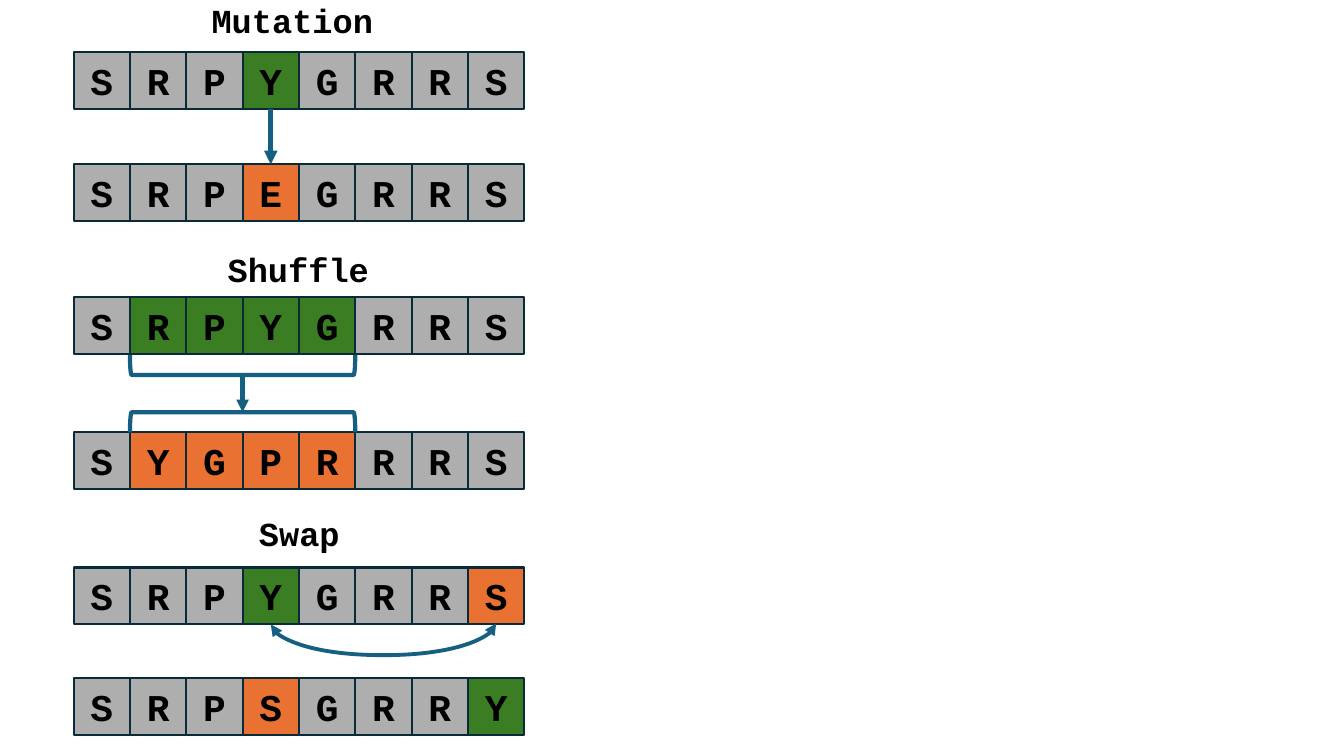
from lxml import etree
from pptx import Presentation
from pptx.dml.color import RGBColor
from pptx.enum.shapes import MSO_CONNECTOR, MSO_SHAPE
from pptx.enum.text import MSO_ANCHOR, PP_ALIGN
from pptx.oxml.ns import qn
from pptx.util import Inches, Pt

RECTANGLE, LEFT_BRACKET = MSO_SHAPE.RECTANGLE, MSO_SHAPE.LEFT_BRACKET
STRAIGHT, CURVE = MSO_CONNECTOR.STRAIGHT, MSO_CONNECTOR.CURVE
CENTER, MIDDLE = PP_ALIGN.CENTER, MSO_ANCHOR.MIDDLE

FONT = "Courier New"
BLACK, OUTLINE, BLUE = "000000", "092A39", "156082"
FILLS = {"-": "AEAEAE", "g": "3B7D23", "o": "E97132"}

STRIP_LEFT, STRIP_WIDTH = 0.73, 4.47
CELL = STRIP_WIDTH / 8

# heading, its left, top and width
HEADINGS = [
    ("Mutation", 2.0, -0.05, 1.81),
    ("Shuffle", 2.16, 2.42, 1.6),
    ("Swap", 2.47, 5.04, 1.05),
]
# top, residues, one fill key per residue
STRIPS = [
    (0.52, "SRPYGRRS", "---g----"),
    (1.63, "SRPEGRRS", "---o----"),
    (2.95, "SRPYGRRS", "-gggg---"),
    (4.29, "SYGPRRRS", "-oooo---"),
    (5.63, "SRPYGRRS", "---g---o"),
    (6.73, "SRPSGRRY", "---o---g"),
]


def rgb(value):
    return RGBColor.from_string(value)


def cell_left(index):
    return STRIP_LEFT + index * CELL


def cell_center(index):
    return cell_left(index + 0.5)


def write(frame, text, size):
    frame.text = text
    font = frame.paragraphs[0].runs[0].font
    font.name, font.size, font.bold = FONT, Pt(size), True
    font.color.rgb = rgb(BLACK)


def set_line(shape, color, width):
    shape.line.color.rgb = rgb(color)
    shape.line.width = Pt(width)


def add_heading(slide, text, left, top, width):
    box = slide.shapes.add_textbox(Inches(left), Inches(top), Inches(width), Inches(0.5))
    box.text_frame.word_wrap = False
    write(box.text_frame, text, 24)


def add_strip(slide, top, residues, fill_keys):
    for index, (residue, key) in enumerate(zip(residues, fill_keys)):
        cell = slide.shapes.add_shape(RECTANGLE, Inches(cell_left(index)), Inches(top),
                                      Inches(CELL), Inches(CELL))
        cell.shadow.inherit = False
        cell.fill.solid()
        cell.fill.fore_color.rgb = rgb(FILLS[key])
        set_line(cell, OUTLINE, 1.5)
        frame = cell.text_frame
        frame.margin_left = frame.margin_right = 0
        frame.vertical_anchor = MIDDLE
        write(frame, residue, 27)
        frame.paragraphs[0].alignment = CENTER


def add_bracket(slide, first, last, middle, rotation):
    """Lay a bracket sideways over cells first to last, centred on height middle."""
    depth, span = 0.2, (last - first + 1) * CELL
    center = cell_left(first) + span / 2
    bracket = slide.shapes.add_shape(LEFT_BRACKET, Inches(center - depth / 2),
                                     Inches(middle - span / 2), Inches(depth), Inches(span))
    bracket.rotation = rotation
    bracket.shadow.inherit = False
    bracket.fill.background()
    set_line(bracket, BLUE, 3)


def add_arrow(slide, kind, start, end, width, heads=("tailEnd",)):
    arrow = slide.shapes.add_connector(kind, *(Inches(value) for value in start + end))
    set_line(arrow, BLUE, width)
    for head in heads:
        etree.SubElement(arrow.line._get_or_add_ln(), qn(f"a:{head}"), type="triangle")
    etree.SubElement(arrow._element.spPr, qn("a:effectLst"))
    return arrow


def add_swap_arc(slide, first, last, top):
    """Join two cells from below: a thin upright curve, turned a quarter, bulging by sag."""
    thickness, sag = 0.01, 0.31
    half_span = (cell_center(last) - cell_center(first)) / 2
    center = cell_center(first) + half_span
    arc = add_arrow(slide, CURVE, (center + thickness / 2, top + half_span),
                    (center - thickness / 2, top - half_span), 2.75, ("headEnd", "tailEnd"))
    properties = arc._element.spPr
    properties.find(qn("a:xfrm")).set("rot", str(90 * 60000))
    guides = properties.find(qn("a:prstGeom")).find(qn("a:avLst"))
    bulge = round(-sag / thickness * 100000)
    etree.SubElement(guides, qn("a:gd"), name="adj1", fmla=f"val {bulge}")


def main():
    deck = Presentation()
    deck.slide_width, deck.slide_height = Inches(13.33), Inches(7.5)
    slide = deck.slides.add_slide(deck.slide_layouts[6])

    for strip in STRIPS:
        add_strip(slide, *strip)
    for heading in HEADINGS:
        add_heading(slide, *heading)

    mutated = cell_center(3)
    add_arrow(slide, STRAIGHT, (mutated, 1.08), (mutated, 1.63), 3.25)

    add_bracket(slide, 1, 4, 3.62, 270)
    add_bracket(slide, 1, 4, 4.19, 90)
    shuffled = cell_left(3)
    add_arrow(slide, STRAIGHT, (shuffled, 3.72), (shuffled, 4.09), 3)

    add_swap_arc(slide, 3, 7, 6.19)

    deck.save("out.pptx")


if __name__ == "__main__":
    main()
